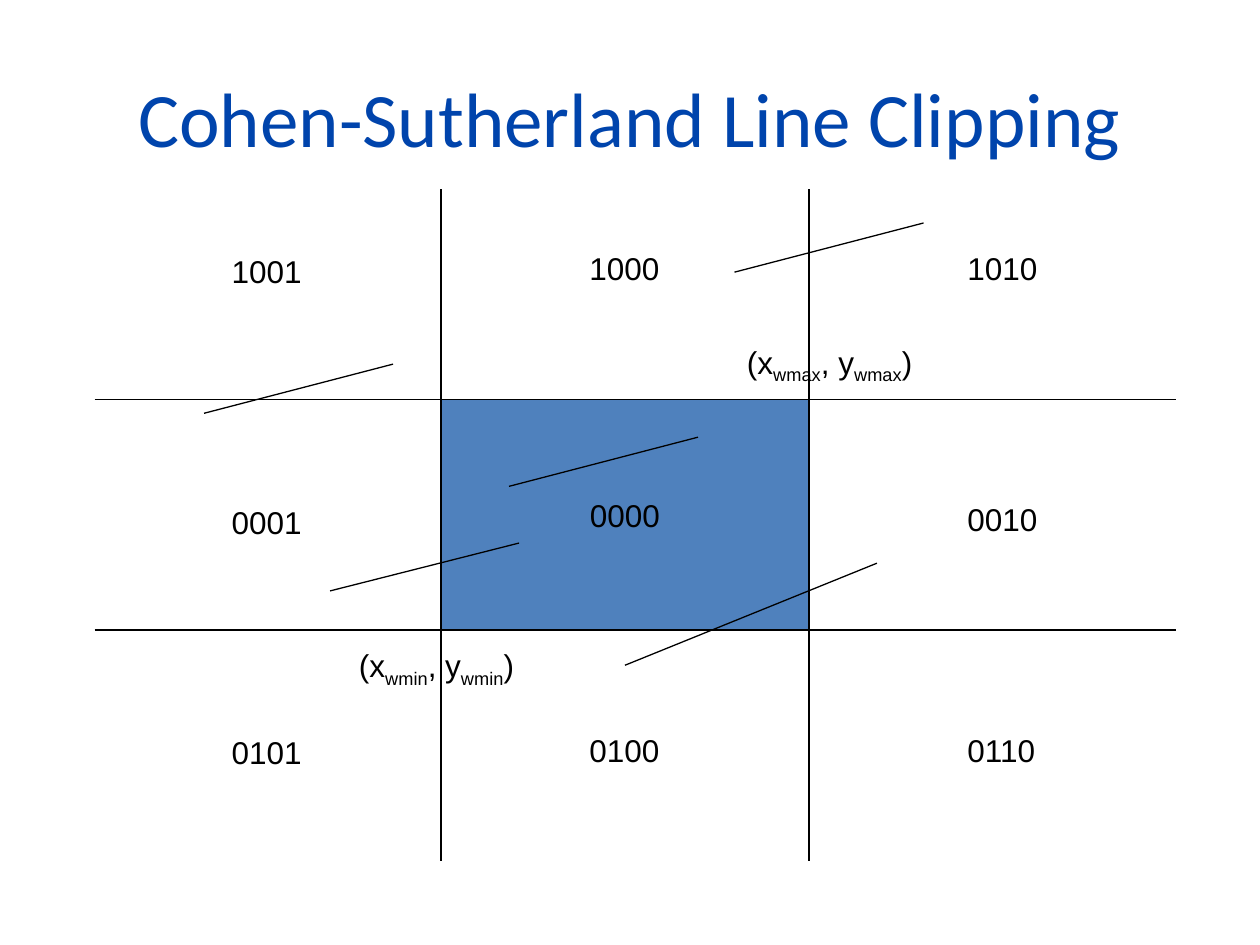
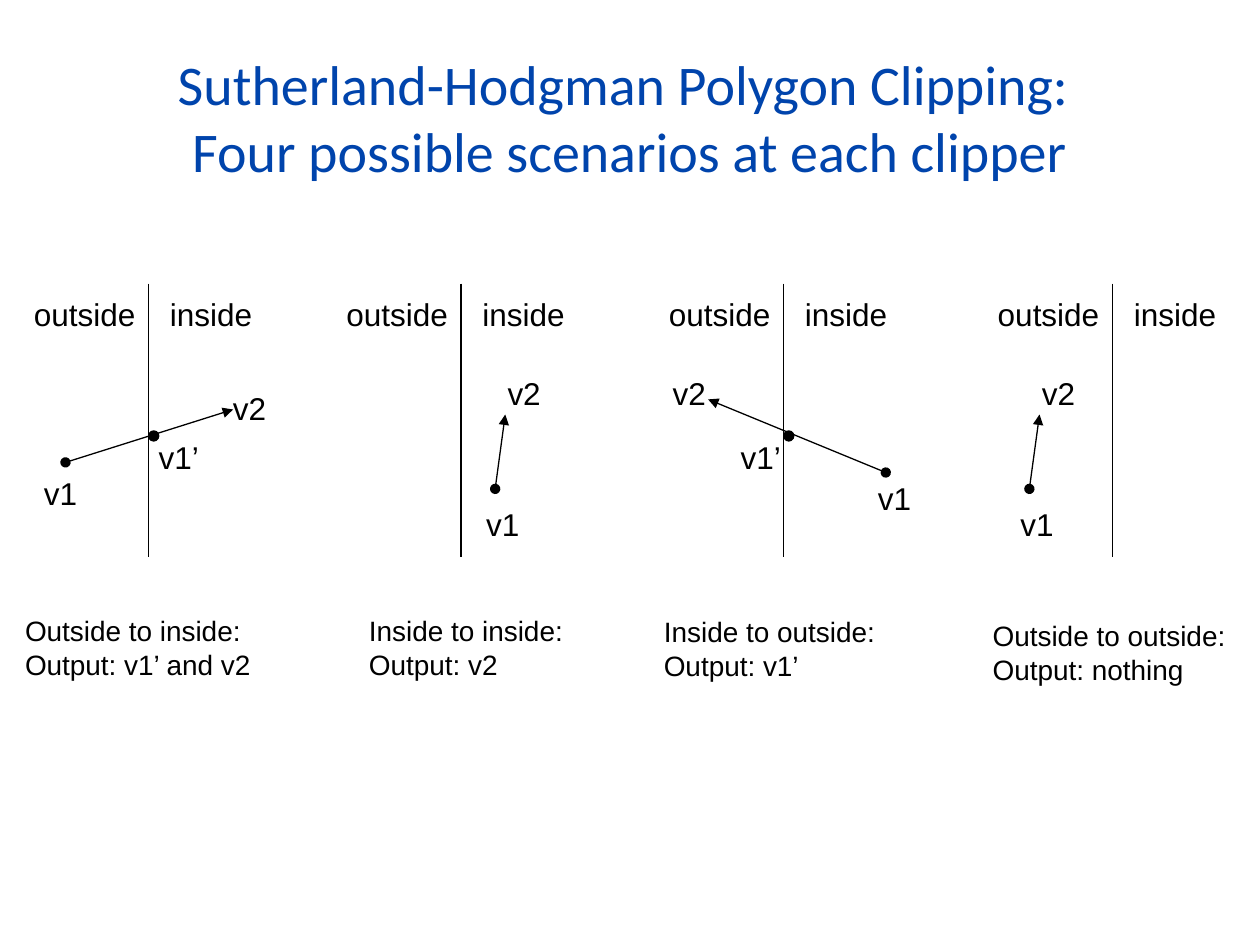
from dataclasses import dataclass

import pptx
import pptx.dml.color
import pptx.enum.shapes
import pptx.enum.text
import pptx.oxml
import pptx.oxml.ns
import pptx.util
from pptx.util import Inches

# Shared style
RGBColor = pptx.dml.color.RGBColor
TITLE_BLUE = RGBColor(0x00, 0x44, 0xAC)
WINDOW_BLUE = RGBColor(0x4F, 0x81, 0xBD)
BLACK = RGBColor(0, 0, 0)
TITLE_FONT, BODY_FONT = "Calibri", "Arial"
LINE_WIDTH = pptx.util.Pt(0.75)
SHAPES = pptx.enum.shapes.MSO_SHAPE
ALIGN = pptx.enum.text.PP_ALIGN
MIDDLE = pptx.enum.text.MSO_ANCHOR.MIDDLE

# Clip window and the span of its extended edges
WINDOW_LEFT, WINDOW_RIGHT, WINDOW_TOP, WINDOW_BOTTOM = 3.5, 6.42, 3.17, 5
SPAN_LEFT, SPAN_RIGHT, SPAN_TOP, SPAN_BOTTOM = 0.75, 9.33, 1.5, 6.83

# Region codes: two bits from the row, two from the column
ROW_CODES = [("10", 1.93), ("00", 3.92), ("01", 5.75)]
COLUMN_CODES = [("01", 1.74, 0.02), ("00", 4.58, 0), ("10", 7.58, 0)]

SEGMENTS = [
    ((4.04, 3.86), (5.54, 3.47)),
    ((1.62, 3.28), (3.12, 2.89)),
    ((2.62, 4.69), (4.12, 4.31)),
    ((4.96, 5.28), (6.96, 4.47)),
    ((5.83, 2.16), (7.33, 1.77)),
]


@dataclass
class Scenario:
    """One clipping case; every x but the wall's is measured from the wall."""
    wall: float
    start: tuple
    end: tuple
    labels: dict
    caption: str
    caption_at: tuple
    caption_width: float


SCENARIOS = [
    Scenario(1.18, (-0.66, 3.67), (0.67, 3.25),
             {"v1": (-0.93, 3.71), "v1’": (-0.02, 3.43), "v2": (0.57, 3.04)},
             "Outside to inside:\nOutput: v1’ and v2", (-1.08, 4.82), 2.01),
    Scenario(3.66, (0.27, 3.88), (0.35, 3.29),
             {"v1": (0.1, 3.96), "v2": (0.27, 2.92)},
             "Inside to inside:\nOutput: v2", (-0.83, 4.82), 1.74),
    Scenario(6.22, (0.81, 3.75), (-0.6, 3.17),
             {"v1": (0.65, 3.75), "v1’": (-0.44, 3.43), "v2": (-0.98, 2.92)},
             "Inside to outside:\nOutput: v1’", (-1.05, 4.83), 1.88),
    Scenario(8.83, (-0.66, 3.88), (-0.58, 3.29),
             {"v1": (-0.83, 3.96), "v2": (-0.66, 2.92)},
             "Outside to outside:\nOutput: nothing", (-1.05, 4.86), 2.06),
]


def style_text(frame, size, font=BODY_FONT, color=BLACK, align=ALIGN.LEFT):
    for paragraph in frame.paragraphs:
        paragraph.alignment = align
        for run in paragraph.runs:
            run.font.size = pptx.util.Pt(size)
            run.font.name = font
            run.font.color.rgb = color


def add_title(slide, text, size):
    frame = slide.shapes.add_textbox(
        Inches(0.5), Inches(0.3), Inches(9), Inches(1.25)).text_frame
    frame.word_wrap = True
    frame.vertical_anchor = MIDDLE
    frame.text = text
    style_text(frame, size, TITLE_FONT, TITLE_BLUE, ALIGN.CENTER)


def add_label(slide, text, left, top, width, height=0.4, size=18):
    frame = slide.shapes.add_textbox(
        Inches(left), Inches(top), Inches(width), Inches(height)).text_frame
    frame.word_wrap = False
    frame.text = text
    style_text(frame, size)
    return frame


def add_corner_label(slide, subscript, left, top, width):
    """Write (x, y) with the same subscript on both coordinates."""
    frame = add_label(slide, "", left, top, width)
    for part in ("(x", subscript, ", y", subscript, ")"):
        run = frame.paragraphs[0].add_run()
        run.text = part
        if part == subscript:
            run.font._element.set("baseline", "-25000")
    style_text(frame, 18)


def add_line(slide, start, end, directed=False):
    line = slide.shapes.add_connector(
        pptx.enum.shapes.MSO_CONNECTOR.STRAIGHT,
        *(Inches(value) for value in (*start, *end)))
    line.line.color.rgb = BLACK
    line.line.width = LINE_WIDTH
    properties = line._element.spPr
    if directed:
        outline = line.line._get_or_add_ln()
        for tag, kind in (("a:headEnd", "oval"), ("a:tailEnd", "triangle")):
            outline.append(pptx.oxml.parse_xml(
                f'<{tag} {pptx.oxml.ns.nsdecls("a")} type="{kind}"/>'))
    properties.append(pptx.oxml.parse_xml(
        f'<a:effectLst {pptx.oxml.ns.nsdecls("a")}/>'))


def add_filled_shape(slide, kind, left, top, width, height, color):
    shape = slide.shapes.add_shape(
        kind, Inches(left), Inches(top), Inches(width), Inches(height))
    shape.shadow.inherit = False
    shape.fill.solid()
    shape.fill.fore_color.rgb = color
    shape.line.color.rgb = BLACK
    shape.line.width = LINE_WIDTH
    return shape


def build_line_clipping(slide):
    add_title(slide, "Cohen-Sutherland Line Clipping", 44)

    # Clip window and its extended edges
    window = add_filled_shape(
        slide, SHAPES.RECTANGLE, WINDOW_LEFT, WINDOW_TOP,
        WINDOW_RIGHT - WINDOW_LEFT, WINDOW_BOTTOM - WINDOW_TOP, WINDOW_BLUE)
    window.text_frame.text = "0000"
    window.text_frame.vertical_anchor = MIDDLE
    style_text(window.text_frame, 18, align=ALIGN.CENTER)
    for x in (WINDOW_LEFT, WINDOW_RIGHT):
        add_line(slide, (x, SPAN_TOP), (x, SPAN_BOTTOM))
    for y in (WINDOW_TOP, WINDOW_BOTTOM):
        add_line(slide, (SPAN_LEFT, y), (SPAN_RIGHT, y))

    # Codes of the regions around the window
    for row_bits, top in ROW_CODES:
        for column_bits, left, drop in COLUMN_CODES:
            code = row_bits + column_bits
            if code != "0000":
                add_label(slide, code, left, top + drop, 0.76)

    # Window corners and sample segments
    add_corner_label(slide, "wmin", 2.75, 5.08, 1.55)
    add_corner_label(slide, "wmax", 5.83, 2.67, 1.64)
    for start, end in SEGMENTS:
        add_line(slide, start, end)


def add_scenario(slide, scenario):
    wall = scenario.wall

    # Clipper with its two sides
    add_line(slide, (wall, 2.25), (wall, 4.42))
    add_label(slide, "outside", wall - 1.01, 2.29, 1.01)
    add_label(slide, "inside", wall + 0.07, 2.29, 0.85)

    # Polygon edge, its vertices and the crossing point
    (start_x, start_y), (end_x, end_y) = scenario.start, scenario.end
    add_line(slide, (wall + start_x, start_y), (wall + end_x, end_y),
             directed=True)
    for name, (offset, top) in scenario.labels.items():
        add_label(slide, name, wall + offset, top, 0.52 if "’" in name else 0.47)
    if "v1’" in scenario.labels:
        add_filled_shape(slide, SHAPES.OVAL, wall, 3.42, 0.08, 0.08, BLACK)

    offset, top = scenario.caption_at
    add_label(slide, scenario.caption, wall + offset, top,
              scenario.caption_width, 0.64, 16)


def build_polygon_clipping(slide):
    add_title(slide, "Sutherland-Hodgman Polygon Clipping: \v"
                     "Four possible scenarios at each clipper", 32)
    for scenario in SCENARIOS:
        add_scenario(slide, scenario)


def main():
    deck = pptx.Presentation()
    deck.slide_width, deck.slide_height = Inches(10), Inches(7.5)
    blank = deck.slide_layouts[6]
    for build in (build_line_clipping, build_polygon_clipping):
        build(deck.slides.add_slide(blank))
    deck.save("out.pptx")


if __name__ == "__main__":
    main()
